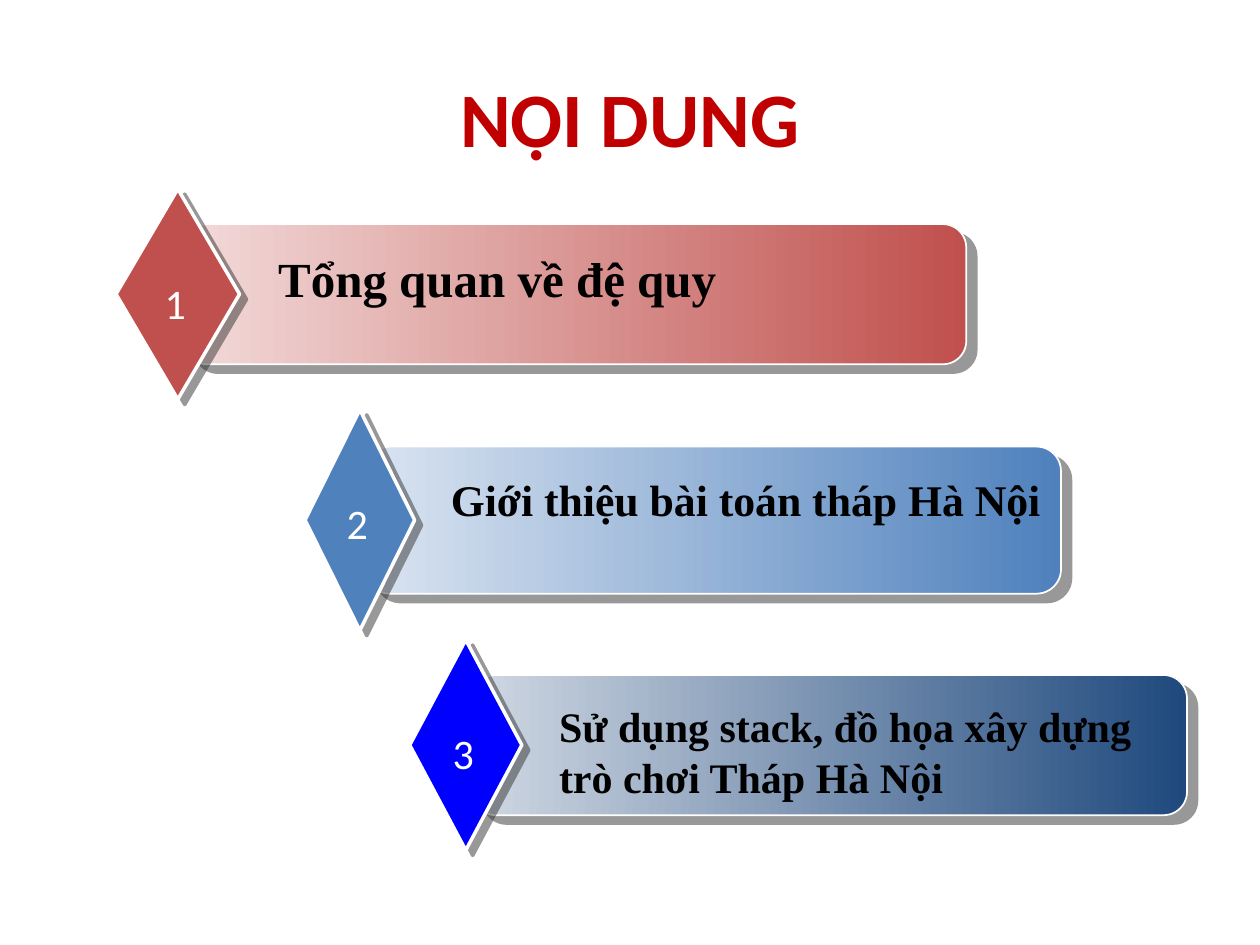
from lxml import etree
from pptx import Presentation
from pptx.dml.color import RGBColor
from pptx.enum.shapes import MSO_SHAPE
from pptx.enum.text import MSO_ANCHOR, PP_ALIGN
from pptx.oxml.ns import qn
from pptx.util import Cm, Pt

BAR, DIAMOND = MSO_SHAPE.ROUNDED_RECTANGLE, MSO_SHAPE.DIAMOND
LEFT, CENTER = PP_ALIGN.LEFT, PP_ALIGN.CENTER
TOP, MIDDLE = MSO_ANCHOR.TOP, MSO_ANCHOR.MIDDLE

COLORS = {
    "title": "C00000", "text": "000000", "white": "FFFFFF", "shadow": "333333",
    "red": "C0504D", "pale red": "F2DAD9",
    "blue": "4F81BD", "pale blue": "DAE4F1",
    "navy": "1F497D", "pale navy": "D0D8E3", "bright blue": "0000FF",
}

# Content; diamond is left, top, width, height and bar is left, width, in cm
TITLE = "NỘI DUNG"
ITEMS = [
    {"text": "Tổng quan về đệ quy", "size": 28,
     "diamond": (2.34, 3.81, 2.49, 4.24), "bar": (3.71, 15.77),
     "text_at": (5.36, 4.88), "colors": ("red", "pale red", "red")},
    {"text": "Giới thiệu bài toán tháp Hà Nội", "size": 25,
     "diamond": (6.15, 8.26, 2.21, 4.45), "bar": (7.37, 14.02),
     "text_at": (8.84, 9.4), "colors": ("blue", "pale blue", "blue")},
    {"text": "Sử dụng stack, đồ họa xây dựng trò chơi Tháp Hà Nội", "size": 24,
     "diamond": (8.26, 12.9, 2.26, 4.24), "bar": (9.53, 14.4),
     "text_at": (11.02, 14.0), "colors": ("bright blue", "pale navy", "navy")},
]
NUMBER_DROP, NUMBER_SHIFT, NUMBER_W, NUMBER_H = 1.65, -0.05, 0.94, 1.27


def rgb(name):
    return RGBColor.from_string(COLORS[name])


def add_text(shapes, box, text, size, font, color, bold=True,
             align=LEFT, anchor=TOP, wrap=True):
    tf = shapes.add_textbox(*map(Cm, box)).text_frame
    tf.word_wrap = wrap
    tf.vertical_anchor = anchor
    p = tf.paragraphs[0]
    p.alignment = align
    r = p.add_run()
    r.text = text
    r.font.name, r.font.size, r.font.bold = font, Pt(size), bold
    r.font.color.rgb = rgb(color)


def add_shape(shapes, kind, box, fills, line_width, distance, angle):
    sp = shapes.add_shape(kind, *map(Cm, box))
    if len(fills) == 1:
        sp.fill.solid()
        sp.fill.fore_color.rgb = rgb(fills[0])
    else:
        sp.fill.gradient()
        sp.fill.gradient_angle = 0
        for stop, name in zip(sp.fill.gradient_stops, fills):
            stop.color.rgb = rgb(name)
    sp.line.color.rgb = rgb("white")
    sp.line.width = Pt(line_width)
    # Half-transparent hard shadow
    sp.shadow.inherit = False
    effects = sp._element.spPr.find(qn("a:effectLst"))
    shadow = etree.SubElement(effects, qn("a:outerShdw"), dist=str(Pt(distance)),
                              dir=str(angle * 60000), algn="ctr", rotWithShape="0")
    color = etree.SubElement(shadow, qn("a:srgbClr"), val=COLORS["shadow"])
    etree.SubElement(color, qn("a:alpha"), val="50000")
    return sp


def add_item(slide, number, item):
    shapes = slide.shapes.add_group_shape().shapes
    x, y, w, h = item["diamond"]
    bar_x, bar_w = item["bar"]
    diamond_fill, *bar_fills = item["colors"]

    # Bar, two thirds as high as the diamond and centred on it
    bar_h = h * 2 / 3
    bar = add_shape(shapes, BAR, (bar_x, y + (h - bar_h) / 2, bar_w, bar_h),
                    bar_fills, 1, 7.8, 40)
    bar.adjustments[0] = 0.167
    add_shape(shapes, DIAMOND, item["diamond"], [diamond_fill], 2, 5, 37)

    # Heading runs to the right end of the bar
    text_x, text_y = item["text_at"]
    add_text(shapes, (text_x, text_y, bar_x + bar_w - text_x, 1.4),
             item["text"], item["size"], "Times New Roman", "text")

    # Number in the diamond
    number_x = x + (w - NUMBER_W) / 2 + NUMBER_SHIFT
    add_text(shapes, (number_x, y + NUMBER_DROP, NUMBER_W, NUMBER_H),
             str(number), 24, "Calibri", "white", bold=False,
             align=CENTER, wrap=False)


def main():
    prs = Presentation()
    prs.slide_width, prs.slide_height = Cm(25.4), Cm(19.05)
    s = prs.slides.add_slide(prs.slide_layouts[6])
    add_text(s.shapes, (1.27, 0.76, 22.86, 3.18), TITLE, 44, "Calibri", "title",
             align=CENTER, anchor=MIDDLE)
    for number, item in enumerate(ITEMS, 1):
        add_item(s, number, item)
    prs.save("out.pptx")


if __name__ == "__main__":
    main()
